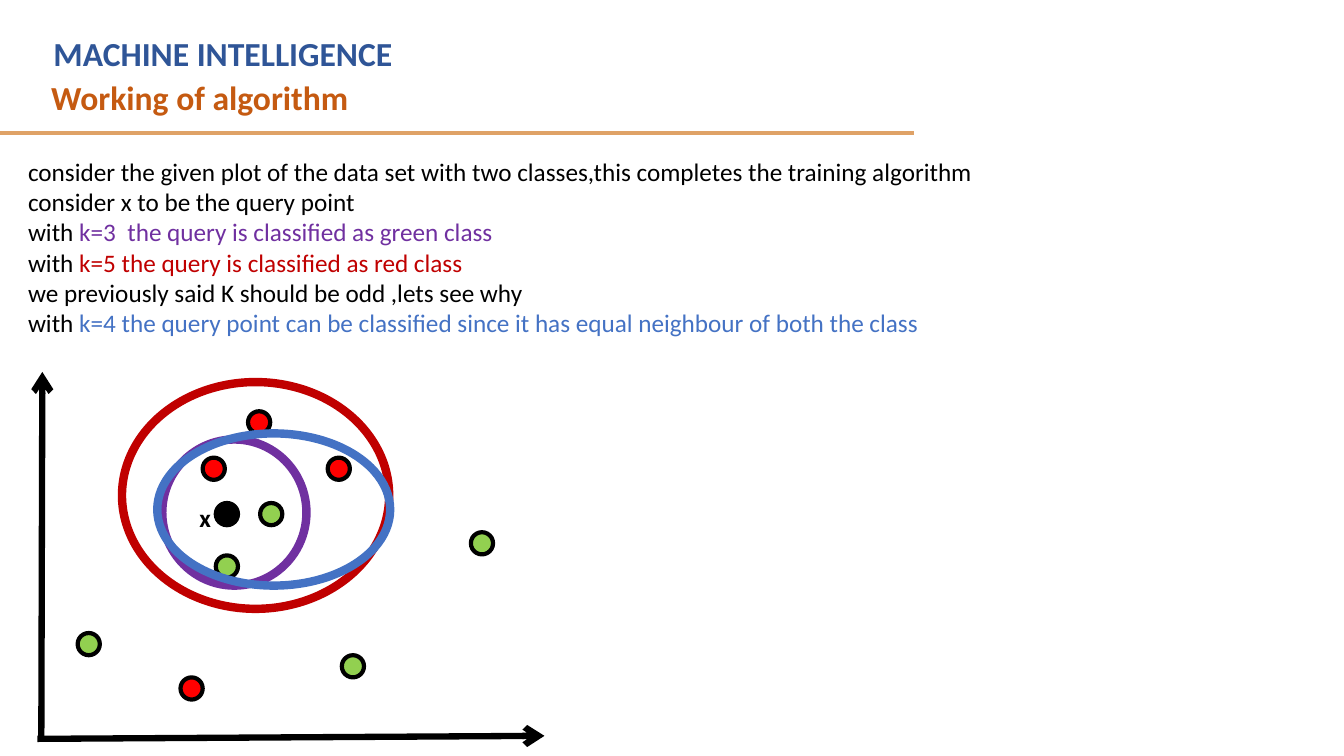
from dataclasses import dataclass

from lxml.etree import SubElement
from pptx import Presentation
from pptx.dml.color import RGBColor
from pptx.enum.shapes import MSO_CONNECTOR, MSO_SHAPE
from pptx.enum.text import MSO_ANCHOR, MSO_AUTO_SIZE, PP_ALIGN
from pptx.oxml.ns import qn
from pptx.slide import Slide
from pptx.text.text import TextFrame
from pptx.util import Inches, Pt


@dataclass(frozen=True)
class Theme:
    font: str = "Calibri"
    heading_size: int = 24
    body_size: int = 18
    point_line: float = 3
    ring_line: float = 6
    axis_line: float = 4.5
    rule_line: float = 3
    black: str = "000000"
    title: str = "2F5597"
    subtitle: str = "C55A11"
    rule: str = "DFA267"
    green: str = "92D050"
    red: str = "FF0000"
    k3: str = "7030A0"
    k4: str = "4472C4"
    k5: str = "C00000"


THEME = Theme()
POINT_SIZE = 0.22


@dataclass(frozen=True)
class Box:
    left: float
    top: float
    width: float
    height: float

    def emu(self) -> tuple[int, ...]:
        return tuple(Inches(v) for v in (self.left, self.top, self.width, self.height))


@dataclass(frozen=True)
class Line:
    start: tuple[float, float]
    end: tuple[float, float]
    color: str
    width: float
    arrow: bool = False


@dataclass(frozen=True)
class Run:
    text: str
    color: str = THEME.black


@dataclass(frozen=True)
class Ring:
    box: Box
    color: str


RULE = Line((0, 1.32), (9.07, 1.32), THEME.rule, THEME.rule_line)
AXES = [
    Line((0.41, 7.3), (0.42, 3.69), THEME.black, THEME.axis_line, True),
    Line((0.37, 7.33), (5.4, 7.3), THEME.black, THEME.axis_line, True),
]
CLASS_POINTS = {
    THEME.green: [(3.39, 6.5), (2.14, 5.51), (0.77, 6.28), (2.58, 4.99), (4.67, 5.28)],
    THEME.red: [(1.79, 6.72), (2.01, 4.54), (2.46, 4.08), (3.25, 4.54)],
}
QUERY_POINT = (2.14, 4.99)
RINGS = [
    Ring(Box(1.61, 4.36, 1.43, 1.45), THEME.k3),
    Ring(Box(1.21, 3.79, 2.65, 2.25), THEME.k5),
    Ring(Box(1.56, 4.3, 2.31, 1.51), THEME.k4),
]
EXPLANATION = [
    [Run("consider the given plot of the data set with two classes,this completes the training algorithm")],
    [Run("consider x to be the query point")],
    [Run("with "), Run("k=3  the query is classified as green class", THEME.k3)],
    [Run("with "), Run("k=5 the query is classified as red class", THEME.k5)],
    [Run("we previously said K should be odd ,lets see why")],
    [Run("with "), Run("k=4 the query point can be classified since it has equal neighbour of both the class", THEME.k4)],
]


def rgb(color: str) -> RGBColor:
    return RGBColor.from_string(color)


def write(tf: TextFrame, lines: list[list[Run]], size: int, bold: bool = False, wrap: bool = True) -> None:
    tf.auto_size = MSO_AUTO_SIZE.NONE
    tf.word_wrap = wrap
    tf.vertical_anchor = MSO_ANCHOR.TOP
    for i, runs in enumerate(lines):
        p = tf.add_paragraph() if i else tf.paragraphs[0]
        p.alignment = PP_ALIGN.LEFT
        p.font.name, p.font.size, p.font.bold = THEME.font, Pt(size), bold
        for run in runs:
            r = p.add_run()
            r.text = run.text
            r.font.color.rgb = rgb(run.color)


def add_text(s: Slide, box: Box, lines: list[list[Run]], size: int, bold: bool = False, wrap: bool = True) -> None:
    write(s.shapes.add_textbox(*box.emu()).text_frame, lines, size, bold, wrap)


def add_title(s: Slide, box: Box, run: Run) -> None:
    title = s.shapes.title
    title.left, title.top, title.width, title.height = box.emu()
    write(title.text_frame, [[run]], THEME.heading_size, bold=True)


def add_line(s: Slide, line: Line) -> None:
    ends = [Inches(v) for v in line.start + line.end]
    cx = s.shapes.add_connector(MSO_CONNECTOR.STRAIGHT, *ends)
    cx.line.color.rgb = rgb(line.color)
    cx.line.width = Pt(line.width)
    if line.arrow:
        SubElement(cx.line._get_or_add_ln(), qn("a:tailEnd"), type="arrow")
    SubElement(cx._element.spPr, qn("a:effectLst"))


def add_ellipse(s: Slide, box: Box, line_color: str, width: float, fill: str | None = None) -> None:
    sp = s.shapes.add_shape(MSO_SHAPE.OVAL, *box.emu())
    sp.shadow.inherit = False
    sp.line.color.rgb = rgb(line_color)
    sp.line.width = Pt(width)
    if fill is None:
        sp.fill.background()
    else:
        sp.fill.solid()
        sp.fill.fore_color.rgb = rgb(fill)


def add_point(s: Slide, at: tuple[float, float], fill: str) -> None:
    add_ellipse(s, Box(*at, POINT_SIZE, POINT_SIZE), THEME.black, THEME.point_line, fill)


def main() -> None:
    prs = Presentation()
    prs.slide_width, prs.slide_height = Inches(13.33), Inches(7.5)
    s = prs.slides.add_slide(prs.slide_layouts[5])

    add_line(s, RULE)
    add_title(s, Box(0.43, 0.28, 8.2, 0.5), Run("MACHINE INTELLIGENCE", THEME.title))
    add_text(s, Box(0.41, 0.71, 8.75, 0.5), [[Run("Working of algorithm", THEME.subtitle)]],
             THEME.heading_size, bold=True)

    for axis in AXES:
        add_line(s, axis)
    for color, points in CLASS_POINTS.items():
        for at in points:
            add_point(s, at, color)

    add_text(s, Box(0.18, 1.5, 9.57, 2.52), EXPLANATION, THEME.body_size, wrap=False)
    add_point(s, QUERY_POINT, THEME.black)
    add_text(s, Box(1.88, 4.93, 0.31, 0.4), [[Run("x")]], THEME.body_size, bold=True, wrap=False)
    for ring in RINGS:
        add_ellipse(s, ring.box, ring.color, THEME.ring_line)

    prs.save("out.pptx")


if __name__ == "__main__":
    main()
